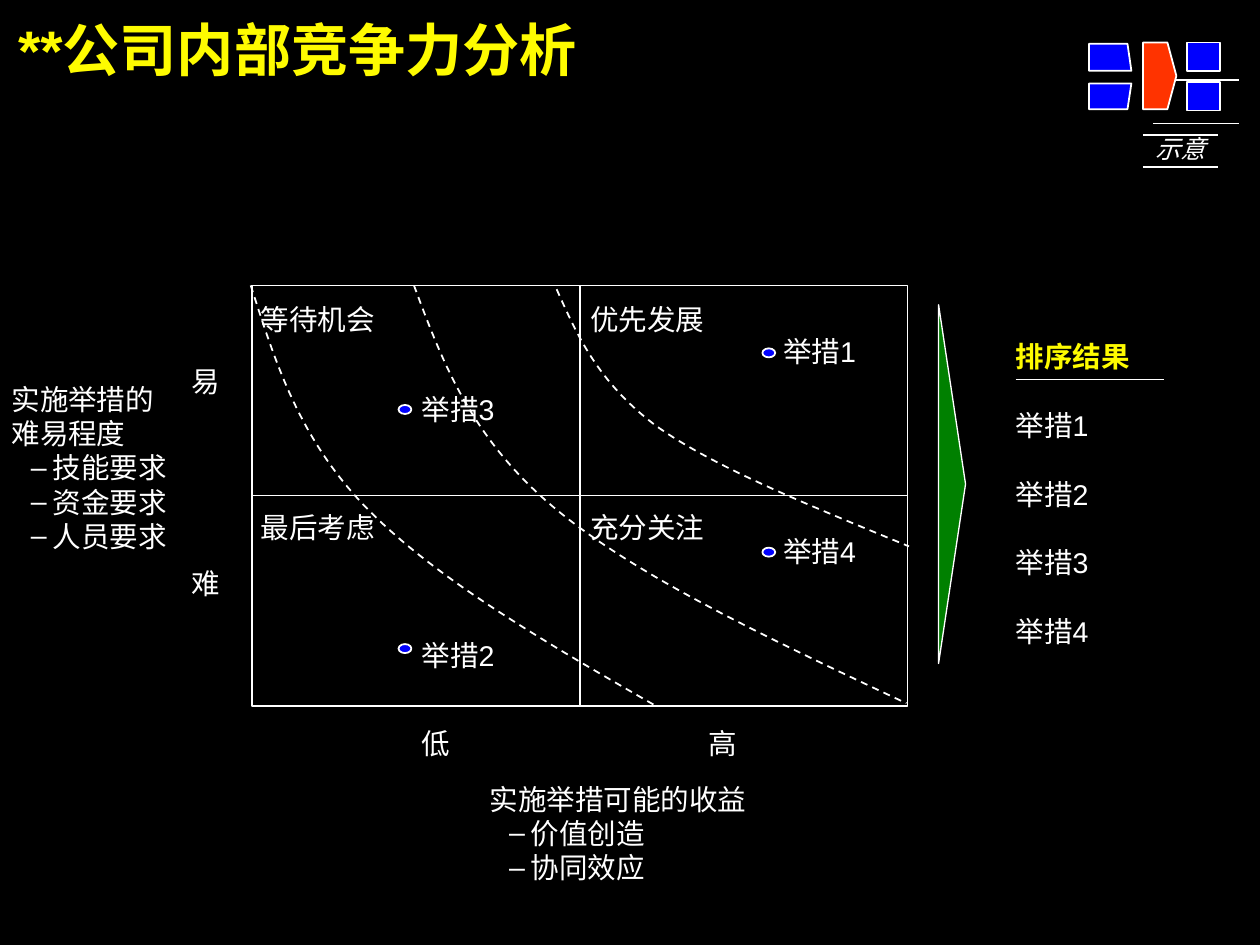
from dataclasses import dataclass
from typing import NamedTuple

from lxml import etree
from pptx import Presentation
from pptx import util as u
from pptx.dml.color import RGBColor
from pptx.enum import dml, shapes, text
from pptx.oxml.ns import qn


@dataclass(frozen=True)
class Theme:
    background: RGBColor = RGBColor(0x00, 0x00, 0x00)
    white: RGBColor = RGBColor(0xFF, 0xFF, 0xFF)
    yellow: RGBColor = RGBColor(0xFE, 0xFB, 0x00)
    blue: RGBColor = RGBColor(0x00, 0x00, 0xFE)
    red: RGBColor = RGBColor(0xFF, 0x33, 0x00)
    green: RGBColor = RGBColor(0x00, 0x80, 0x00)
    latin: str = "Arial"
    chinese: str = "Noto Sans CJK SC"
    title_size: float = 32
    body_size: float = 16
    tag_size: float = 14
    line: float = 1
    thin_line: float = 0.75


class Point(NamedTuple):
    x: float
    y: float


class Label(NamedTuple):
    words: str
    x: float
    y: float
    width: float


class Measure(NamedTuple):
    name: str
    dot: Point
    label: Point


class AxisNote(NamedTuple):
    heading: str
    items: list[str]
    x: float
    y: float
    width: float
    height: float


THEME = Theme()
MATRIX_LEFT, MATRIX_TOP, MATRIX_WIDTH, MATRIX_HEIGHT = 1.96, 2.22, 5.1, 3.27

QUADRANTS = [["等待机会", "优先发展"], ["最后考虑", "充分关注"]]
AXIS_LEVELS = [
    Label("低", 3.28, 5.65, 0.47),
    Label("高", 5.51, 5.65, 0.47),
    Label("易", 1.49, 2.83, 0.38),
    Label("难", 1.49, 4.4, 0.38),
]
MEASURES = [
    Measure("举措1", Point(5.93, 2.71), Point(6.09, 2.6)),
    Measure("举措2", Point(3.1, 5.01), Point(3.28, 4.96)),
    Measure("举措3", Point(3.1, 3.15), Point(3.28, 3.05)),
    Measure("举措4", Point(5.93, 4.26), Point(6.09, 4.15)),
]
AXIS_NOTES = [
    AxisNote("实施举措可能的收益", ["价值创造", "协同效应"], 3.81, 6.08, 2.72, 0.8),
    AxisNote("实施举措的难易程度", ["技能要求", "资金要求", "人员要求"], 0.09, 2.97, 1.3, 1.33),
]
# Each curve: a start, then two controls and an end for each of two segments
PRIORITY_CURVES = [
    [(1.95, 2.22), (2.14, 2.81), (2.32, 3.4), (2.84, 3.94), (3.37, 4.49), (4.23, 4.99), (5.1, 5.49)],
    [(3.22, 2.22), (3.44, 2.81), (3.66, 3.4), (4.3, 3.94), (4.94, 4.48), (5.99, 4.97), (7.05, 5.47)],
    [(4.33, 2.25), (4.49, 2.61), (4.65, 2.97), (5.1, 3.31), (5.56, 3.64), (6.32, 3.94), (7.07, 4.25)],
]

deck = Presentation()
deck.slide_width, deck.slide_height = u.Inches(9.8), u.Inches(7.35)
slide = deck.slides.add_slide(deck.slide_layouts[6])
slide.background.fill.solid()
slide.background.fill.fore_color.rgb = THEME.background


def style(shape, fill: RGBColor | None = None, weight: float = THEME.line) -> None:
    shape.shadow.inherit = False
    if fill is None:
        shape.fill.background()
    else:
        shape.fill.solid()
        shape.fill.fore_color.rgb = fill
    shape.line.color.rgb = THEME.white
    shape.line.width = u.Pt(weight)


def add_preset(kind, x: float, y: float, width: float, height: float,
               fill: RGBColor | None = None, weight: float = THEME.line):
    shape = slide.shapes.add_shape(kind, *map(u.Inches, (x, y, width, height)))
    style(shape, fill, weight)
    return shape


def add_outline(points, fill: RGBColor | None = None, closed: bool = True):
    start, *rest = [(u.Inches(x), u.Inches(y)) for x, y in points]
    builder = slide.shapes.build_freeform(*start)
    builder.add_line_segments(rest, close=closed)
    shape = builder.convert_to_shape()
    style(shape, fill)
    return shape


def add_dashed_curve(points) -> None:
    curve = add_outline(points, closed=False)
    curve.line.dash_style = dml.MSO_LINE.DASH
    # Merge every three straight steps into one cubic segment
    outline = next(curve._element.iter(qn("a:path")))
    steps = outline.findall(qn("a:lnTo"))
    for first in range(0, len(steps), 3):
        cubic = etree.SubElement(outline, qn("a:cubicBezTo"))
        for step in steps[first:first + 3]:
            cubic.append(step[0])
            outline.remove(step)


def add_line(x1: float, y1: float, x2: float, y2: float, weight: float = THEME.line):
    line = slide.shapes.add_connector(
        shapes.MSO_CONNECTOR.STRAIGHT, *map(u.Inches, (x1, y1, x2, y2)))
    line.line.color.rgb = THEME.white
    line.line.width = u.Pt(weight)
    etree.SubElement(line._element.spPr, qn("a:effectLst"))
    return line


def set_font(paragraph, size: float = THEME.body_size, color: RGBColor = THEME.white,
             bold: bool = False, italic: bool = False, name: str = THEME.latin) -> None:
    font = paragraph.font
    font.size, font.name, font.bold, font.italic = u.Pt(size), name, bold, italic
    font.color.rgb = color


def add_text(lines: list[str], x: float, y: float, width: float, height: float = 0.27,
             bullets: bool = False, **font):
    frame = slide.shapes.add_textbox(*map(u.Inches, (x, y, width, height))).text_frame
    frame.word_wrap = True
    frame.margin_left = frame.margin_right = frame.margin_top = frame.margin_bottom = 0
    frame.text = "\n".join(lines)
    for index, paragraph in enumerate(frame.paragraphs):
        if bullets and index:
            add_dash_bullet(paragraph)
        set_font(paragraph, **font)
    return frame


def add_dash_bullet(paragraph) -> None:
    paragraph.level = 1
    properties = paragraph._p.get_or_add_pPr()
    properties.set("marL", str(u.Inches(0.32)))
    properties.set("indent", str(u.Inches(-0.17)))
    color = etree.SubElement(properties, qn("a:buClr"))
    etree.SubElement(color, qn("a:srgbClr"), val=str(THEME.white))
    etree.SubElement(properties, qn("a:buFont"), typeface=THEME.latin)
    etree.SubElement(properties, qn("a:buChar"), char="–")


# Title and chapter marker
add_text(["**公司内部竞争力分析"], 0.14, 0.11, 9.49, 0.53,
         size=THEME.title_size, color=THEME.yellow, bold=True)
for y in (0.62, 0.96):
    add_line(8.97, y, 9.64, y)
for y in (0.33, 0.64):
    add_preset(shapes.MSO_SHAPE.RECTANGLE, 9.23, y, 0.26, 0.22, THEME.blue)
add_outline([(8.89, 0.33), (9.08, 0.33), (9.15, 0.59), (9.08, 0.85), (8.89, 0.85)], THEME.red)
for outer, inner in ((0.34, 0.55), (0.85, 0.65)):
    add_outline([(8.47, outer), (8.77, outer), (8.8, inner), (8.47, inner)], THEME.blue)

# Illustration tag
tag = add_text(["示意"], 8.99, 1.04, 0.39, 0.23,
               size=THEME.tag_size, italic=True, name=THEME.chinese)
tag.word_wrap = False
tag.paragraphs[0].alignment = text.PP_ALIGN.RIGHT
for y in (1.05, 1.3):
    add_line(8.89, y, 9.47, y, THEME.thin_line)

# Two-by-two matrix with its quadrant names
matrix = add_preset(shapes.MSO_SHAPE.RECTANGLE, MATRIX_LEFT, MATRIX_TOP, MATRIX_WIDTH, MATRIX_HEIGHT)
for first_side, last_side in ((1, 3), (0, 2)):
    divider = add_line(MATRIX_LEFT, MATRIX_TOP, MATRIX_LEFT, MATRIX_TOP)
    divider.begin_connect(matrix, first_side)
    divider.end_connect(matrix, last_side)
for row, names in enumerate(QUADRANTS):
    for column, name in enumerate(names):
        add_text([name], 2.03 + 2.56 * column, 2.35 + 1.62 * row, 1.21)

# Measures, axis levels and axis notes
for measure in MEASURES:
    add_preset(shapes.MSO_SHAPE.OVAL, *measure.dot, 0.1, 0.07, THEME.blue)
    add_text([measure.name], *measure.label, 1.21)
for level in AXIS_LEVELS:
    add_text([level.words], level.x, level.y, level.width)
for note in AXIS_NOTES:
    add_text([note.heading, *note.items], note.x, note.y, note.width, note.height, bullets=True)

# Priority curves
for points in PRIORITY_CURVES:
    add_dashed_curve(points)

# Ranking result
arrow = add_preset(shapes.MSO_SHAPE.ISOSCELES_TRIANGLE, 6.01, 3.66, 2.79, 0.21,
                   THEME.green, THEME.thin_line)
arrow.rotation = 90
ranking = add_text(["排序结果", *(m.name for m in MEASURES)], 7.9, 2.64, 1.29, 2.4)
set_font(ranking.paragraphs[0], color=THEME.yellow, bold=True)
for ranked in ranking.paragraphs[1:]:
    ranked.space_before = u.Pt(19.2)
add_line(7.9, 2.95, 9.05, 2.95, THEME.thin_line)

deck.save("out.pptx")
